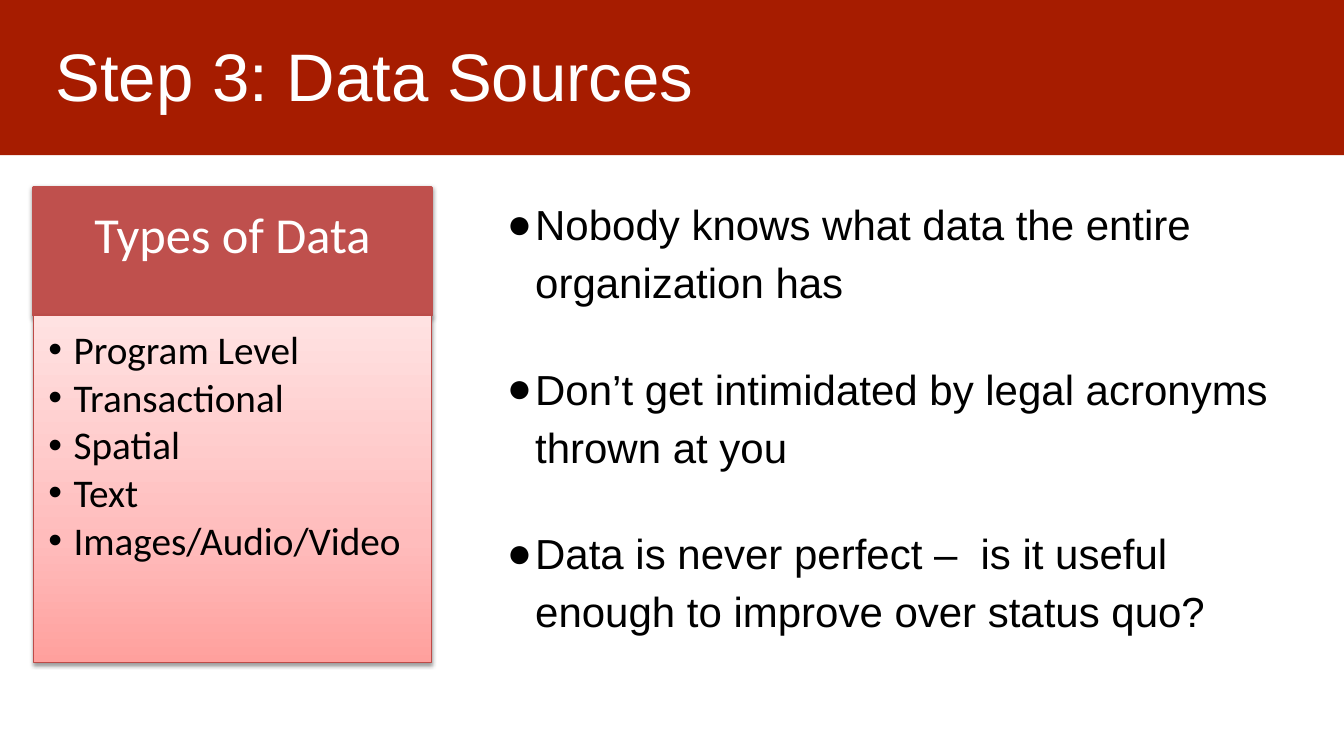
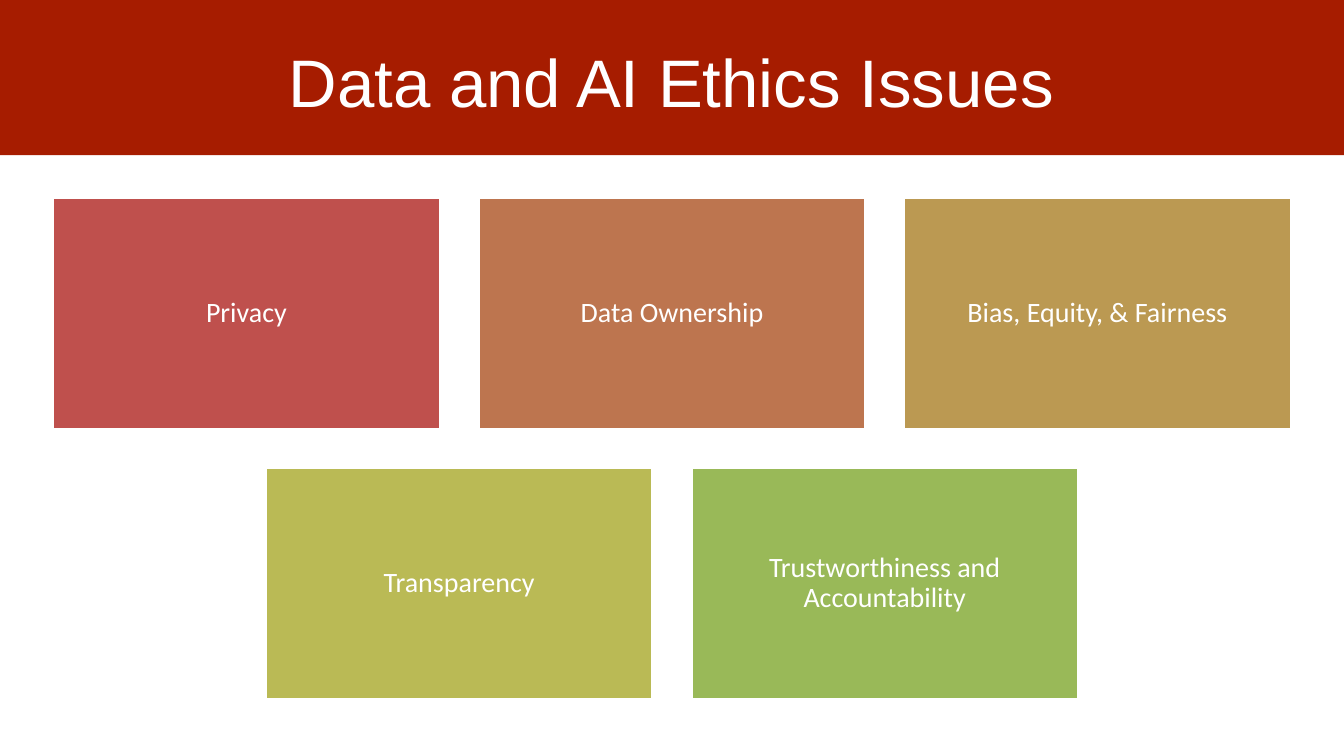
from copy import deepcopy

from lxml import etree
from pptx import Presentation
from pptx.dml.color import RGBColor
from pptx.enum.shapes import MSO_SHAPE
from pptx.enum.text import MSO_ANCHOR, PP_ALIGN
from pptx.oxml.ns import qn
from pptx.util import Inches, Pt

RECTANGLE = MSO_SHAPE.RECTANGLE
TOP, MIDDLE = MSO_ANCHOR.TOP, MSO_ANCHOR.MIDDLE
LEFT, CENTER = PP_ALIGN.LEFT, PP_ALIGN.CENTER

# Shared look
WIDTH, HEIGHT = 13.33, 7.5
WHITE = RGBColor(0xFF, 0xFF, 0xFF)
BLACK = RGBColor(0, 0, 0)
BAND_RED = RGBColor(0xA6, 0x1C, 0x00)
ROSE = RGBColor(0xBF, 0x50, 0x4D)
ROSE_EDGE = RGBColor(0xBD, 0x4B, 0x48)
COPPER = RGBColor(0xBD, 0x75, 0x4F)
OCHRE = RGBColor(0xBB, 0x99, 0x52)
OLIVE = RGBColor(0xBA, 0xBA, 0x55)
GREEN = RGBColor(0x99, 0xB9, 0x58)
PINK_FADE = [(0, RGBColor(0xFF, 0xA0, 0x9D)), (0.35, RGBColor(0xFF, 0xBC, 0xBC)),
             (1, RGBColor(0xFF, 0xE2, 0xE2))]
HEADING_FONT, PANEL_FONT = "Arial", "Calibri"

deck = Presentation()
deck.slide_width, deck.slide_height = Inches(WIDTH), Inches(HEIGHT)
BLANK = deck.slide_layouts[6]


def add_box(page, at, *texts, fill=None, line=None, line_width=2, shadow=False,
            font=PANEL_FONT, size=20, color=WHITE, align=CENTER, anchor=MIDDLE,
            insets=(0.1, 0.1, 0.1, 0.1), spacing=0.9, gap=0, bullet=None, indent=(0, 0)):
    """Add a rectangle with one paragraph per text; gap is the space between them."""
    box = page.shapes.add_shape(RECTANGLE, *map(Inches, at))
    box.shadow.inherit = False
    if fill is None:
        box.fill.background()
    else:
        box.fill.solid()
        box.fill.fore_color.rgb = fill
    if line is None:
        box.line.fill.background()
    else:
        box.line.color.rgb = line
        box.line.width = Pt(line_width)
    if shadow:
        effects = box._element.spPr.find(qn("a:effectLst"))
        outer = etree.SubElement(effects, qn("a:outerShdw"), blurRad=str(Pt(3.1)),
                                 dist=str(Pt(1.6)), dir="5400000", rotWithShape="0")
        shade = etree.SubElement(outer, qn("a:srgbClr"), val="000000")
        etree.SubElement(shade, qn("a:alpha"), val="38000")

    frame = box.text_frame
    frame.word_wrap = True
    frame.vertical_anchor = anchor
    (frame.margin_left, frame.margin_top,
     frame.margin_right, frame.margin_bottom) = map(Inches, insets)
    for index, text in enumerate(texts):
        para = frame.add_paragraph() if index else frame.paragraphs[0]
        para.alignment = align
        para.line_spacing = spacing
        para.space_before = Pt(gap if index else 0)
        span = para.add_run()
        span.text = text
        span.font.name, span.font.size = font, Pt(size)
        span.font.color.rgb = color
        if bullet:
            settings = para._p.get_or_add_pPr()
            settings.set("marL", str(Inches(indent[0])))
            settings.set("indent", str(Inches(indent[1])))
            etree.SubElement(settings, qn("a:buFont"), typeface="Arial")
            etree.SubElement(settings, qn("a:buChar"), char=bullet)
    return box


def add_page(title, top, height, align):
    """Add a page with the red band and its title."""
    page = deck.slides.add_slide(BLANK)
    add_box(page, (-0.02, -0.04, WIDTH + 0.03, 1.58), fill=BAND_RED)
    add_box(page, (0.45, top, 12.42, height), title, font=HEADING_FONT, size=48,
            align=align, spacing=1.0)
    return page


# Data sources: advice on the right
page = add_page("Step 3: Data Sources", 0, 1.48, LEFT)
add_box(page, (4.93, 1.85, 8.03, 4.72),
        "Nobody knows what data the entire organization has",
        "Don’t get intimidated by legal acronyms thrown at you",
        "Data is never perfect –  is it useful enough to improve over status quo?",
        font=HEADING_FONT, size=30, color=BLACK, align=LEFT, anchor=TOP,
        insets=(0.1, 0.05, 0.1, 0.05), spacing=1.15, gap=34.5,
        bullet="●", indent=(0.28, -0.32))

# Data sources: panel of data types
PANEL_LEFT, PANEL_TOP, PANEL_WIDTH = 0.33, 1.86, 3.95
HEADER_HEIGHT, LIST_HEIGHT = 1.27, 3.44
add_box(page, (PANEL_LEFT, PANEL_TOP, PANEL_WIDTH, HEADER_HEIGHT), "Types of Data",
        fill=ROSE, line=ROSE, shadow=True, size=36, insets=(0.25, 0.14, 0.25, 0.43))
type_list = add_box(
    page, (PANEL_LEFT, PANEL_TOP + HEADER_HEIGHT, PANEL_WIDTH, LIST_HEIGHT),
    "Program Level", "Transactional", "Spatial", "Text", "Images/Audio/Video",
    line=ROSE_EDGE, line_width=0.75, shadow=True, size=28, color=BLACK, align=LEFT,
    anchor=TOP, insets=(0.15, 0.15, 0.2, 0.22), gap=3.8, bullet="•", indent=(0.25, -0.27))

# Fade of the list, from dark at the foot to light at the head
type_list.fill.gradient()
type_list.fill.gradient_angle = 90
stop_list = type_list._element.spPr.find(".//" + qn("a:gsLst"))
stop_list.insert(1, deepcopy(stop_list[0]))
for stop, (position, color) in zip(type_list.fill.gradient_stops, PINK_FADE):
    stop.position = position
    stop.color.rgb = color

# Ethics issues: centred rows of tiles
page = add_page("Data and AI Ethics Issues", 0.11, 1.38, CENTER)
TILE_WIDTH, TILE_HEIGHT, TILE_GAP, TILES_TOP = 3.84, 2.3, 0.38, 1.96
tile_rows = [
    [("Privacy", ROSE), ("Data Ownership", COPPER), ("Bias, Equity, & Fairness", OCHRE)],
    [("Transparency", OLIVE), ("Trustworthiness and Accountability", GREEN)],
]
for row, tiles in enumerate(tile_rows):
    row_width = len(tiles) * (TILE_WIDTH + TILE_GAP) - TILE_GAP
    row_left = (WIDTH - row_width) / 2
    for column, (issue, color) in enumerate(tiles):
        add_box(page, (row_left + column * (TILE_WIDTH + TILE_GAP),
                       TILES_TOP + row * (TILE_HEIGHT + TILE_GAP), TILE_WIDTH, TILE_HEIGHT),
                issue, fill=color, line=WHITE, insets=(0.08, 0.08, 0.08, 0.08))

deck.save("out.pptx")
